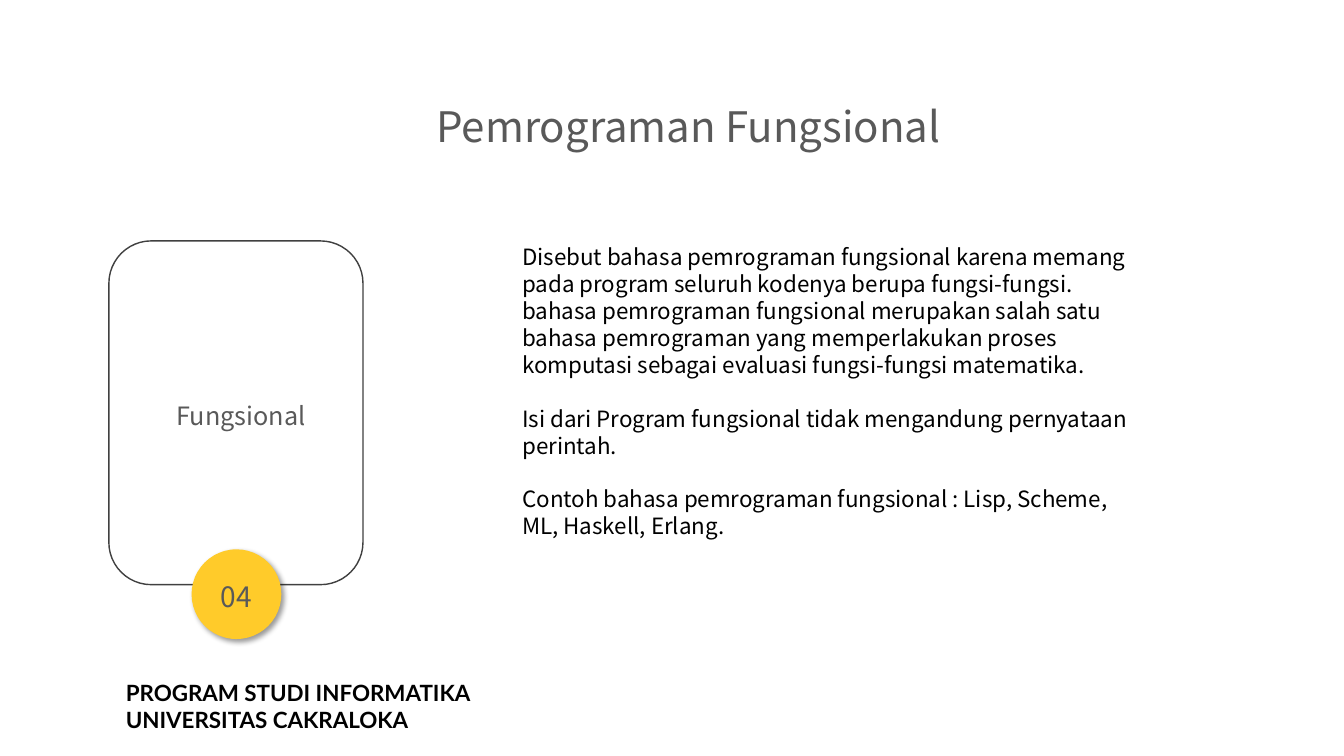
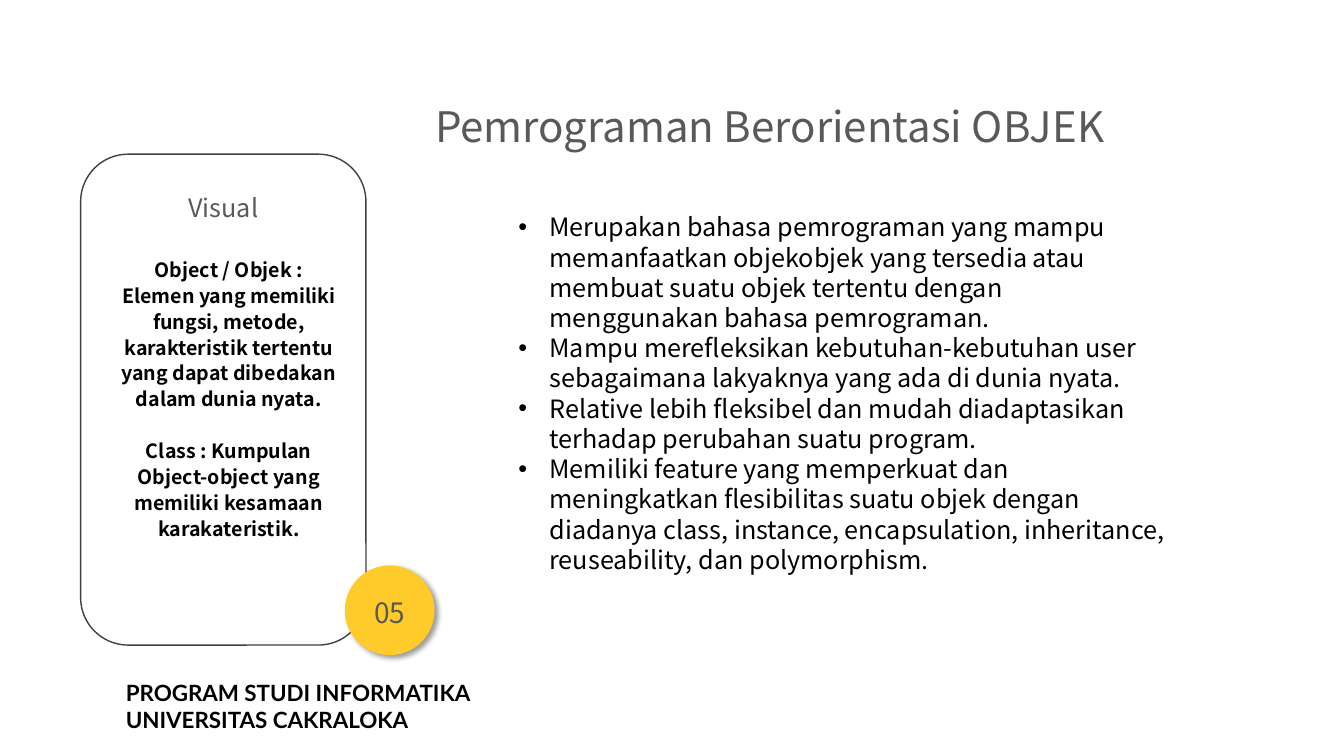
from lxml.etree import SubElement as Sub
from pptx import Presentation as Deck
from pptx.dml.color import RGBColor as Color
from pptx.enum.shapes import MSO_SHAPE as Kind
from pptx.enum.text import MSO_ANCHOR as Anchor, MSO_AUTO_SIZE as Fit, PP_ALIGN as Align
from pptx.oxml.ns import qn
from pptx.util import Pt

PX = 9144
SANS = "Noto Sans CJK SC"
LATO = "Lato"
BLACK = Color(0x00, 0x00, 0x00)
GRAY = Color(0x59, 0x59, 0x59)
EDGE = Color(0x40, 0x40, 0x40)
WHITE = Color(0xFF, 0xFF, 0xFF)
GOLD = Color(0xFF, 0xCB, 0x2A)
MID = Align.CENTER
LEFT = Align.LEFT

FOOT = ["PROGRAM STUDI INFORMATIKA", "UNIVERSITAS CAKRALOKA"]
ABOUT = [
    "Disebut bahasa pemrograman fungsional karena memang pada program seluruh "
    "kodenya berupa fungsi-fungsi. bahasa pemrograman fungsional merupakan salah "
    "satu bahasa pemrograman yang memperlakukan proses komputasi sebagai evaluasi "
    "fungsi-fungsi matematika.",
    "Isi dari Program fungsional tidak mengandung pernyataan perintah.",
    "Contoh bahasa pemrograman fungsional : Lisp, Scheme, ML, Haskell, Erlang.",
]
TERMS = [
    "Object / Objek : Elemen yang memiliki fungsi, metode, karakteristik tertentu "
    "yang dapat dibedakan dalam dunia nyata.",
    "Class : Kumpulan Object-object yang memiliki kesamaan karakateristik.",
]
TRAITS = [
    "Merupakan bahasa pemrograman yang mampu memanfaatkan objekobjek yang tersedia "
    "atau membuat suatu objek tertentu dengan menggunakan bahasa pemrograman.",
    "Mampu merefleksikan kebutuhan-kebutuhan user sebagaimana lakyaknya yang ada "
    "di dunia nyata.",
    "Relative lebih fleksibel dan mudah diadaptasikan terhadap perubahan suatu program.",
    "Memiliki feature yang memperkuat dan meningkatkan flesibilitas suatu objek "
    "dengan diadanya class, instance, encapsulation, inheritance, reuseability, "
    "dan polymorphism.",
]


def scale(box):
    """Turn px lengths into EMU."""
    return [n * PX for n in box]


def place(shape, box):
    """Move and size a placeholder."""
    shape.left, shape.top, shape.width, shape.height = scale(box)


def write(shape, lines, size, color=BLACK, align=LEFT, bold=False,
          font=SANS, ratio=1, gap=False):
    """Fill a shape with evenly set paragraphs."""
    frame = shape.text_frame
    frame.text = "\n".join(lines)
    frame.word_wrap = True
    frame.auto_size = Fit.NONE
    frame.vertical_anchor = Anchor.TOP
    frame.margin_top = Pt(3.6 + size * 0.075)
    pitch = Pt(size * 1.2 * ratio)
    for i, para in enumerate(frame.paragraphs):
        para.alignment = align
        para.line_spacing = pitch
        para.space_before = pitch if gap and i else Pt(0)
        for run in para.runs:
            run.font.size = Pt(size)
            run.font.name = font
            run.font.bold = bold
            run.font.color.rgb = color


def label(slide, box, lines, size, **look):
    """Add a text box."""
    shape = slide.shapes.add_textbox(*scale(box))
    write(shape, lines, size, **look)
    return shape


def solid(slide, kind, box, fill):
    """Add a plain filled shape without a line."""
    shape = slide.shapes.add_shape(kind, *scale(box))
    shape.shadow.inherit = False
    shape.fill.solid()
    shape.fill.fore_color.rgb = fill
    shape.line.fill.background()
    return shape


def card(slide, box):
    """Add an outlined rounded card."""
    shape = solid(slide, Kind.ROUNDED_RECTANGLE, box, WHITE)
    shape.line.color.rgb = EDGE
    shape.line.width = Pt(1)


def badge(slide, left, top, text):
    """Add a numbered disc with a soft shadow."""
    disc = solid(slide, Kind.OVAL, (left, top, 89, 89), GOLD)
    write(disc, [text], 20, color=GRAY, align=MID)
    frame = disc.text_frame
    frame.vertical_anchor = Anchor.MIDDLE
    frame.margin_left = frame.margin_right = 13 * PX
    frame.margin_top, frame.margin_bottom = 11 * PX, 7 * PX
    glow = Sub(disc.element.spPr.find(qn("a:effectLst")), qn("a:outerShdw"),
               blurRad=str(Pt(4)), dist=str(Pt(3)), dir="2700000",
               algn="tl", rotWithShape="0")
    tone = Sub(glow, qn("a:srgbClr"), val=str(BLACK))
    Sub(tone, qn("a:alpha"), val="40000")


def title(slide, width, text):
    """Set the slide title."""
    place(slide.shapes.title, (415, 92, width, 61))
    write(slide.shapes.title, [text], 30, color=GRAY, align=MID)


def body(slide, box, lines, size, dots=False):
    """Set the body as a list or as spaced paragraphs."""
    shape = slide.placeholders[1]
    place(shape, box)
    write(shape, lines, size, gap=not dots)
    step = 31 * PX if dots else 0
    for para in shape.text_frame.paragraphs:
        props = para._p.get_or_add_pPr()
        props.set("marL", str(step))
        props.set("indent", str(-step))
        if dots:
            Sub(props, qn("a:buChar"), char="•")
        else:
            Sub(props, qn("a:buNone"))


def footer(slide):
    """Put the footer on the layout that the slides share."""
    shape = label(slide, (115, 667, 656, 64), FOOT, 16, bold=True, font=LATO)
    slide.slide_layout.shapes.element.append(shape.element)


def pure(slide):
    """Build the functional programming slide."""
    title(slide, 536, "Pemrograman Fungsional")
    card(slide, (108, 239, 252, 341))
    label(slide, (138, 375, 202, 50), ["Fungsional"], 18,
          color=GRAY, align=MID, ratio=1.5)
    badge(slide, 190, 545, "04")
    body(slide, (508, 235, 636, 333), ABOUT, 16)


def objects(slide):
    """Build the object-oriented programming slide."""
    title(slide, 697, "Pemrograman Berorientasi OBJEK")
    card(slide, (80, 153, 283, 487))
    label(slide, (108, 169, 227, 65), ["Visual"], 18,
          color=GRAY, align=MID, ratio=1.5)
    label(slide, (108, 247, 238, 380), TERMS, 14,
          align=MID, bold=True, ratio=1.1, gap=True)
    badge(slide, 342, 561, "05")
    body(slide, (504, 203, 667, 343), TRAITS, 18, dots=True)


def main():
    """Build and save the deck."""
    deck = Deck()
    deck.slide_width, deck.slide_height = scale((1333, 750))
    page = deck.slide_layouts[1]
    first = deck.slides.add_slide(page)
    footer(first)
    pure(first)
    objects(deck.slides.add_slide(page))
    deck.save("out.pptx")


if __name__ == "__main__":
    main()
